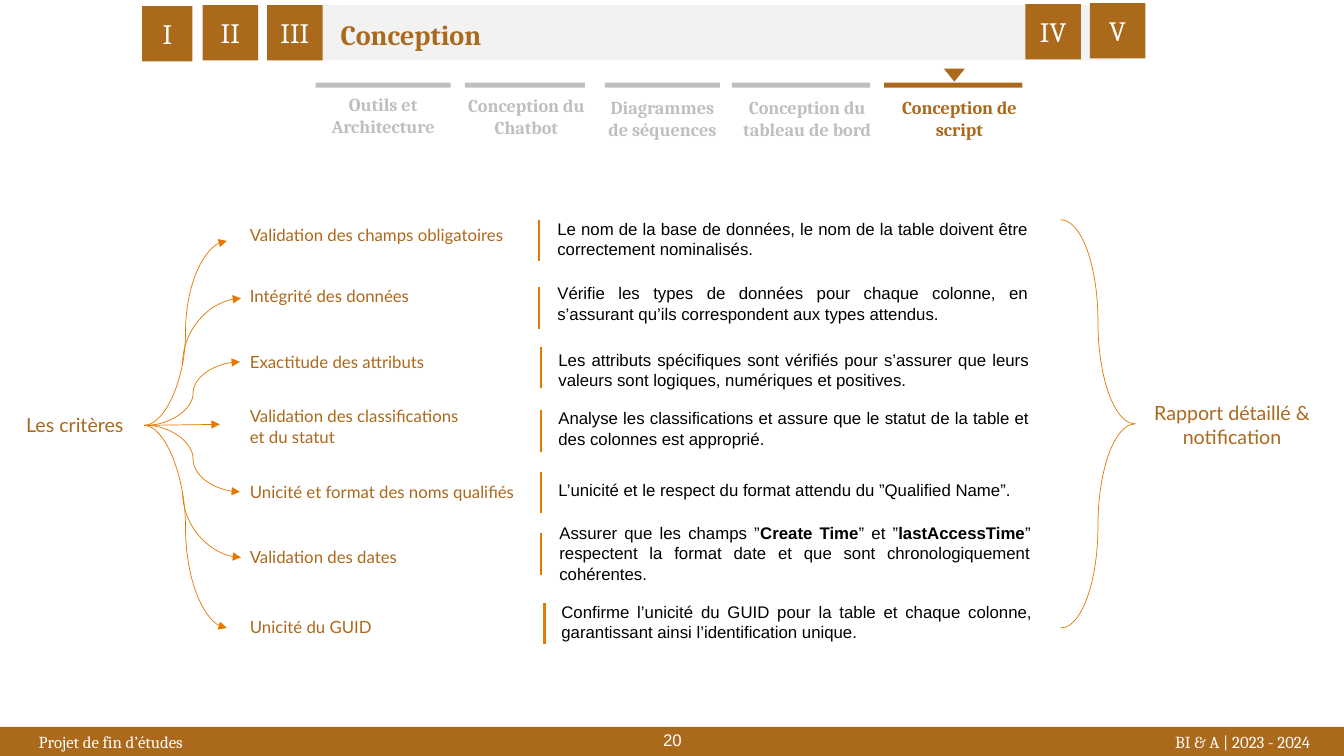
import pptx
import pptx.dml.color
import pptx.enum.shapes
import pptx.enum.text
import pptx.oxml
import pptx.oxml.ns
import pptx.util
from pptx.util import Inches

BROWN = "AB691C"
ORANGE = "E67900"
SILVER = "BFBFBF"
PALE = "F2F2F2"
WHITE = "FFFFFF"
BLACK = "000000"

SHAPES = pptx.enum.shapes.MSO_SHAPE
LINKS = pptx.enum.shapes.MSO_CONNECTOR
ALIGN = pptx.enum.text.PP_ALIGN

CHAPTERS = [
    ("I", 1.41, 0.06, 0.5),
    ("II", 2.01, 0.05, 0.55),
    ("III", 2.65, 0.05, 0.55),
    ("IV", 10.17, 0.04, 0.55),
    ("V", 10.81, 0.03, 0.55),
]

# bar left, bar width, text, text left, text top, text width, colour
SECTIONS = [
    (3.13, 1.34, "Outils et\nArchitecture", 2.52, 0.88, 2.56, SILVER),
    (4.61, 1.19, "Conception du\nChatbot", 4.47, 0.89, 1.5, SILVER),
    (6, 1.14, "Diagrammes de séquences", 5.89, 0.91, 1.36, SILVER),
    (7.26, 1.37, "Conception du tableau de bord", 7.15, 0.91, 1.71, SILVER),
    (8.77, 1.37, "Conception de script", 8.66, 0.91, 1.71, BROWN),
]

# label, label top, label width, rule x, rule top, detail, detail left, detail top
CRITERIA = [
    ("Validation des champs obligatoires", 2.18, 2.78, 5.35, 2.18,
     "Le nom de la base de données, le nom de la table doivent être "
     "correctement nominalisés.", 5.43, 2.12),
    ("Intégrité des données", 2.79, 1.81, 5.35, 2.85,
     "Vérifie les types de données pour chaque colonne, en s’assurant "
     "qu’ils correspondent aux types attendus.", 5.43, 2.76),
    ("Exactitude des attributs", 3.44, 1.95, 5.37, 3.44,
     "Les attributs spécifiques sont vérifiés pour s’assurer que leurs "
     "valeurs sont logiques, numériques et positives.", 5.44, 3.42),
    ("Validation des classifications\net du statut", 3.98, 2.37, 5.37, 4.07,
     "Analyse les classifications et assure que le statut de la table et "
     "des colonnes est approprié.", 5.44, 4),
    ("Unicité et format des noms qualifiés", 4.73, 2.86, 5.37, 4.68,
     "L’unicité et le respect du format attendu du ”Qualified Name”.", 5.44, 4.71),
    ("Validation des dates", 5.37, 1.7, 5.37, 5.29,
     "Assurer que les champs ”**Create Time**” et ”**lastAccessTime**” "
     "respectent la format date et que sont chronologiquement cohérentes.", 5.45, 5.14),
    ("Unicité du GUID", 6.07, 1.42, 5.4, 5.98,
     "Confirme l’unicité du GUID pour la table et chaque colonne, "
     "garantissant ainsi l’identification unique.", 5.47, 5.92),
]


def color(value):
    """Turn a hex string into a colour."""
    return pptx.dml.color.RGBColor.from_string(value)


def write(frame, text, size=12, font="Lato", ink=BROWN, bold=False, align=ALIGN.LEFT):
    """Fill a text frame, one paragraph a line, with bold between double asterisks."""
    for number, line in enumerate(text.split("\n")):
        para = frame.add_paragraph() if number else frame.paragraphs[0]
        para.alignment = align
        for index, part in enumerate(line.split("**")):
            span = para.add_run()
            span.text = part
            span.font.size = pptx.util.Pt(size)
            span.font.name = font
            span.font.bold = bold or index % 2 == 1
            span.font.color.rgb = color(ink)


def add_text(page, text, left, top, width, height, wrap=True, **style):
    """Add a text box."""
    box = page.shapes.add_textbox(Inches(left), Inches(top), Inches(width), Inches(height))
    box.text_frame.word_wrap = wrap
    write(box.text_frame, text, **style)


def add_block(page, kind, left, top, width, height, fill=None):
    """Add a filled shape without outline, or a thin orange outline without fill."""
    block = page.shapes.add_shape(
        kind, Inches(left), Inches(top), Inches(width), Inches(height))
    block.shadow.inherit = False
    if fill:
        block.fill.solid()
        block.fill.fore_color.rgb = color(fill)
        block.line.fill.background()
    else:
        block.fill.background()
        block.line.color.rgb = color(ORANGE)
        block.line.width = pptx.util.Pt(0.5)
    return block


def add_link(page, kind, start, end, weight=0.5, arrow=True):
    """Add an orange connector, with an arrowhead at its end if asked."""
    link = page.shapes.add_connector(kind, *[Inches(length) for length in (*start, *end)])
    link.line.color.rgb = color(ORANGE)
    link.line.width = pptx.util.Pt(weight)
    if arrow:
        head = pptx.oxml.parse_xml(
            f'<a:tailEnd {pptx.oxml.ns.nsdecls("a")} type="triangle"/>')
        link.line._get_or_add_ln().append(head)
    link._element.spPr.append(
        pptx.oxml.parse_xml(f'<a:effectLst {pptx.oxml.ns.nsdecls("a")}/>'))
    return link


def add_bend(page, start, end):
    """Add an arrow that leaves vertically and arrives horizontally from the left."""
    middle_x, middle_y = (start[0] + end[0]) / 2, (start[1] + end[1]) / 2
    across, rise = (end[0] - start[0]) / 2, (end[1] - start[1]) / 2
    reach = abs(rise)
    drop = across if rise > 0 else -across
    bend = add_link(page, LINKS.CURVE, (middle_x + reach, middle_y - drop),
                    (middle_x - reach, middle_y + drop))
    properties = bend._element.spPr
    properties.find(pptx.oxml.ns.qn("a:prstGeom")).set("prst", "curvedConnector2")
    properties.find(pptx.oxml.ns.qn("a:xfrm")).set("rot", str((270 if rise > 0 else 90) * 60000))


def add_footer(page):
    """Add the footer band, its two captions and the page number."""
    add_block(page, SHAPES.RECTANGLE, 0, 7.21, 13.33, 0.29, BROWN)
    for text, left, top, width, font in (
            ("Projet de fin d’études", 0, 7.21, 2.2, "Cambria"),
            ("BI & A | 2023 - 2024", 11.28, 7.21, 2.09, "Cambria"),
            ("20", 5.17, 7.19, 3, "Arial")):
        add_text(page, text, left, top, width, 0.3, font=font, ink=WHITE, align=ALIGN.CENTER)


def add_header(page):
    """Add the chapter tiles, the title and the section tabs."""
    add_block(page, SHAPES.RECTANGLE, 2.69, 0.05, 8.43, 0.55, PALE)
    for numeral, left, top, width in CHAPTERS:
        tile = add_block(page, SHAPES.RECTANGLE, left, top, width, 0.55, BROWN)
        tile.text_frame.vertical_anchor = pptx.enum.text.MSO_ANCHOR.MIDDLE
        write(tile.text_frame, numeral, size=20, font="Cambria", ink=WHITE, align=ALIGN.CENTER)
    add_text(page, "Conception", 3.28, 0.12, 4.52, 0.44, size=20, font="Cambria", bold=True)
    for bar_left, bar_width, text, left, top, width, ink in SECTIONS:
        add_block(page, SHAPES.RECTANGLE, bar_left, 0.82, bar_width, 0.05, ink)
        add_text(page, text, left, top, width, 0.54, size=13, font="Cambria",
                 ink=ink, bold=True, align=ALIGN.CENTER)
    marker = add_block(page, SHAPES.ISOSCELES_TRIANGLE, 9.36, 0.68, 0.21, 0.13, BROWN)
    marker.rotation = 180


def add_criteria(page):
    """Add the criteria with their rules and details."""
    for label, top, width, rule_x, rule_top, detail, detail_left, detail_top in CRITERIA:
        add_text(page, label, 2.38, top, width, 0.5 if "\n" in label else 0.3, wrap=False)
        add_link(page, LINKS.STRAIGHT, (rule_x, rule_top), (rule_x, rule_top + 0.41),
                 weight=1.5, arrow=False)
        add_text(page, detail, detail_left, detail_top, 4.87, 0.5, font="Arial",
                 ink=BLACK, align=ALIGN.JUSTIFY)


def add_flow(page):
    """Add the arrows from the root, the closing brace and both end captions."""
    add_text(page, "Les critères", 0.16, 4.05, 1.21, 0.34, wrap=False, size=14)
    for start_x, end in ((1.43, (2.25, 2.39)), (1.45, (2.38, 3.59)),
                         (1.45, (2.38, 4.88)), (1.43, (2.25, 6.23))):
        add_link(page, LINKS.CURVE, (start_x, 4.22), end)
    add_link(page, LINKS.STRAIGHT, (1.43, 4.22), (2.18, 4.21))
    add_bend(page, (1.81, 3.61), (2.39, 2.96))
    add_bend(page, (1.81, 4.88), (2.39, 5.53))
    brace = add_block(page, SHAPES.RIGHT_BRACE, 10.52, 2.18, 0.74, 4.05)
    brace.adjustments[0] = 2.6
    brace.adjustments[1] = 0.5
    add_text(page, "Rapport détaillé &\nnotification", 11.34, 3.93, 1.76, 0.57,
             wrap=False, size=14, align=ALIGN.CENTER)


def main():
    """Build the slide and save it."""
    deck = pptx.Presentation()
    deck.slide_width, deck.slide_height = Inches(13.33), Inches(7.5)
    page = deck.slides.add_slide(deck.slide_layouts[6])
    add_footer(page)
    add_header(page)
    add_criteria(page)
    add_flow(page)
    deck.save("out.pptx")


if __name__ == "__main__":
    main()
